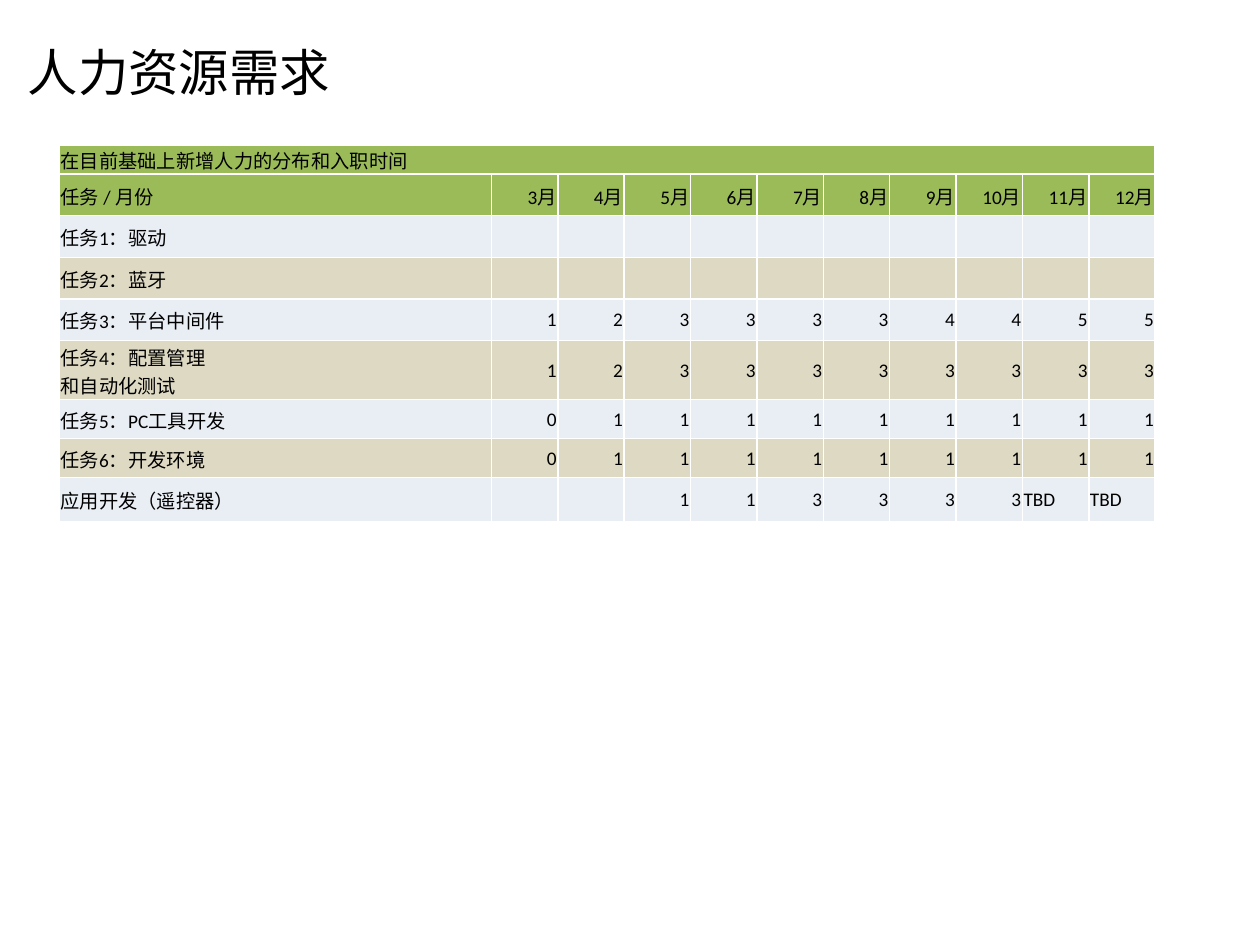
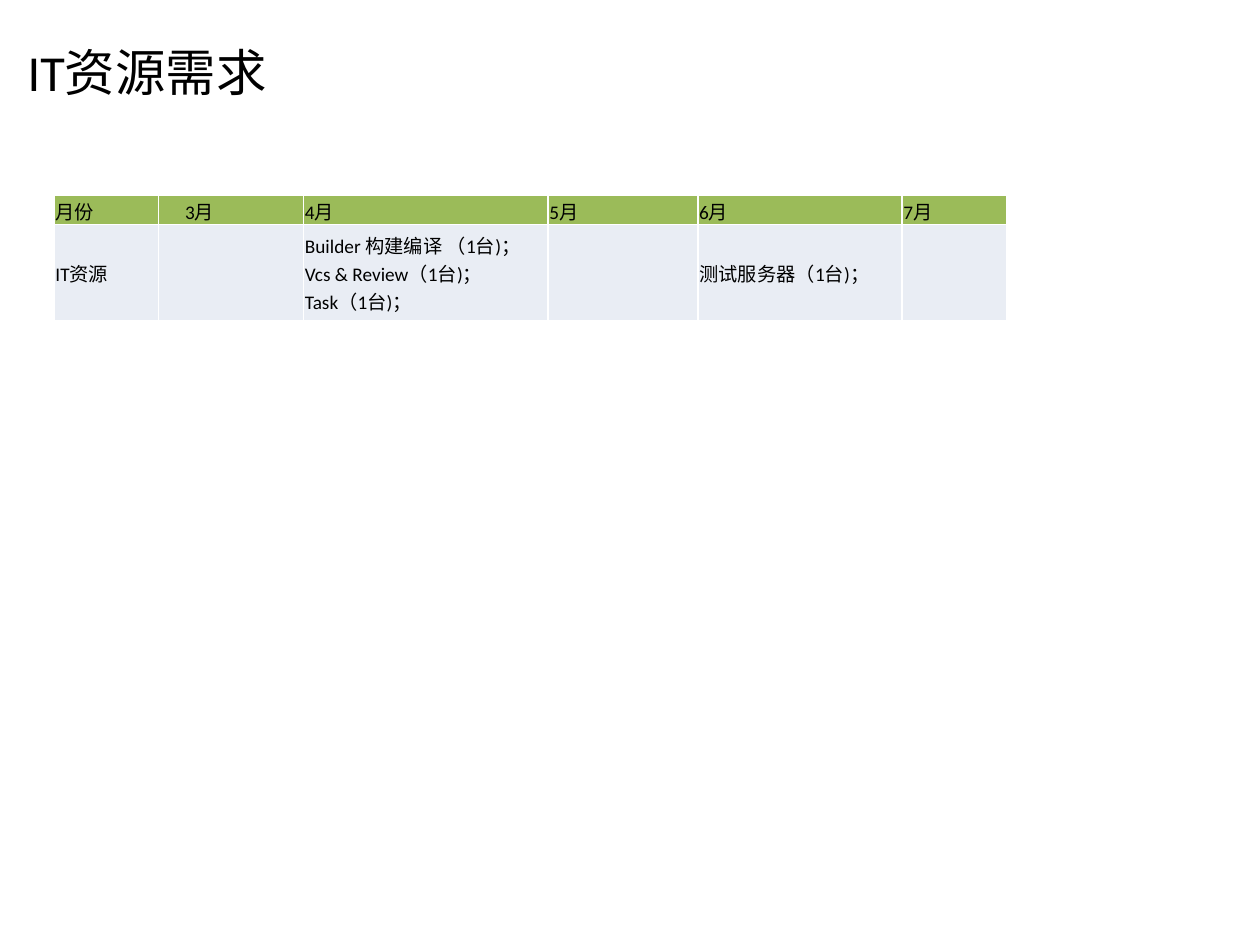
import pptx
import pptx.dml.color
import pptx.enum.text
import pptx.oxml
import pptx.oxml.ns
import pptx.util

Inches = pptx.util.Inches
Pt = pptx.util.Pt
RGBColor = pptx.dml.color.RGBColor
PP_ALIGN = pptx.enum.text.PP_ALIGN
MIDDLE = pptx.enum.text.MSO_ANCHOR.MIDDLE

COLOURS = {"text": "000000", "header": "9BBB59", "light": "E9EDF4",
           "sand": "DDD9C3", "border": "FFFFFF"}
FONT = {"name": "Calibri", "bold": False}
CELL_FORMAT = {"margin_left": Inches(0.01), "margin_top": Inches(0.01),
               "margin_right": Inches(0.01), "margin_bottom": 0,
               "vertical_anchor": MIDDLE}
TITLE_FORMAT = {"left": Inches(0.12), "top": Inches(0.29),
                "width": Inches(8.5), "height": Inches(0.55)}
PLAIN_TABLE = {"first_row": False, "horz_banding": False}

# Contents: "\v" is a line break inside a cell
months = [f"{month}月" for month in range(3, 13)]
staff_rows = [
    ["在目前基础上新增人力的分布和入职时间"] + [""] * 10,
    ["任务 / 月份"] + months,
    ["任务1：驱动"] + [""] * 10,
    ["任务2：蓝牙"] + [""] * 10,
    ["任务3：平台中间件", *"1233334455"],
    ["任务4：配置管理\v和自动化测试", *"1233333333"],
    ["任务5：PC工具开发", *"0111111111"],
    ["任务6：开发环境", *"0111111111"],
    ["应用开发（遥控器）", "", "", *"113333", "TBD", "TBD"],
]
equipment_rows = [
    ["月份"] + months[:5],
    ["IT资源", "", "Builder 构建编译 （1台)；\vVcs & Review（1台)；\vTask（1台)；",
     "", "测试服务器（1台)；", ""],
]
pages = [
    {"title": "人力资源需求", "position": (0.47, 1.15), "rows": staff_rows,
     "widths": [3.43] + [0.527] * 10, "header_rows": 2, "number_align": PP_ALIGN.RIGHT,
     "heights": [0.2, 0.33, 0.33, 0.33, 0.33, 0.47, 0.31, 0.31, 0.35]},
    {"title": "IT资源需求", "position": (0.43, 1.55), "rows": equipment_rows,
     "widths": [0.83, 1.15, 1.94, 1.19, 1.62, 0.83], "header_rows": 1,
     "number_align": PP_ALIGN.LEFT, "heights": [0.2, 0.76]},
]


def style_text(paragraph, size, alignment):
    paragraph.alignment = alignment
    for run in paragraph.runs:
        for name, value in FONT.items():
            setattr(run.font, name, value)
        run.font.size = Pt(size)
        run.font.color.rgb = RGBColor.from_string(COLOURS["text"])


def style_cell(cell, fill):
    for name, value in CELL_FORMAT.items():
        setattr(cell, name, value)
    properties = cell._tc.get_or_add_tcPr()
    for side in ("L", "R", "T", "B"):
        properties.append(pptx.oxml.parse_xml(
            f'<a:ln{side} {pptx.oxml.ns.nsdecls("a")} w="12700"><a:solidFill>'
            f'<a:srgbClr val="{COLOURS["border"]}"/></a:solidFill></a:ln{side}>'))
    cell.fill.solid()
    cell.fill.fore_color.rgb = RGBColor.from_string(COLOURS[fill])


presentation = pptx.Presentation()
presentation.slide_width = Inches(10)
presentation.slide_height = Inches(7.5)

for page in pages:
    # Title
    slide = presentation.slides.add_slide(presentation.slide_layouts[5])
    title = slide.shapes.title
    for name, value in TITLE_FORMAT.items():
        setattr(title, name, value)
    title.text_frame.text = page["title"]
    title.text_frame.vertical_anchor = MIDDLE
    title.text_frame.auto_size = pptx.enum.text.MSO_AUTO_SIZE.NONE
    style_text(title.text_frame.paragraphs[0], 28.8, PP_ALIGN.LEFT)

    # Table grid
    left, top = page["position"]
    table = slide.shapes.add_table(
        len(page["heights"]), len(page["widths"]), Inches(left), Inches(top),
        Inches(sum(page["widths"])), Inches(sum(page["heights"]))).table
    for name, value in PLAIN_TABLE.items():
        setattr(table, name, value)
    for column, width in zip(table.columns, page["widths"]):
        column.width = Inches(width)
    for row, height in zip(table.rows, page["heights"]):
        row.height = Inches(height)

    # Table cells: header rows, then alternating bands
    for row_index, texts in enumerate(page["rows"]):
        band = row_index - page["header_rows"]
        fill = "header" if band < 0 else ("light", "sand")[band % 2]
        for column_index, text in enumerate(texts):
            cell = table.cell(row_index, column_index)
            style_cell(cell, fill)
            if text:
                cell.text = text
                is_number = column_index > 0 and text != "TBD"
                style_text(cell.text_frame.paragraphs[0], 11,
                           page["number_align"] if is_number else PP_ALIGN.LEFT)

    # Heading across the staff table, indented first month in the equipment table
    if page["rows"] is staff_rows:
        table.cell(0, 0).merge(table.cell(0, len(months)))
    else:
        table.cell(0, 1).margin_left = Inches(0.21)

presentation.save("out.pptx")
